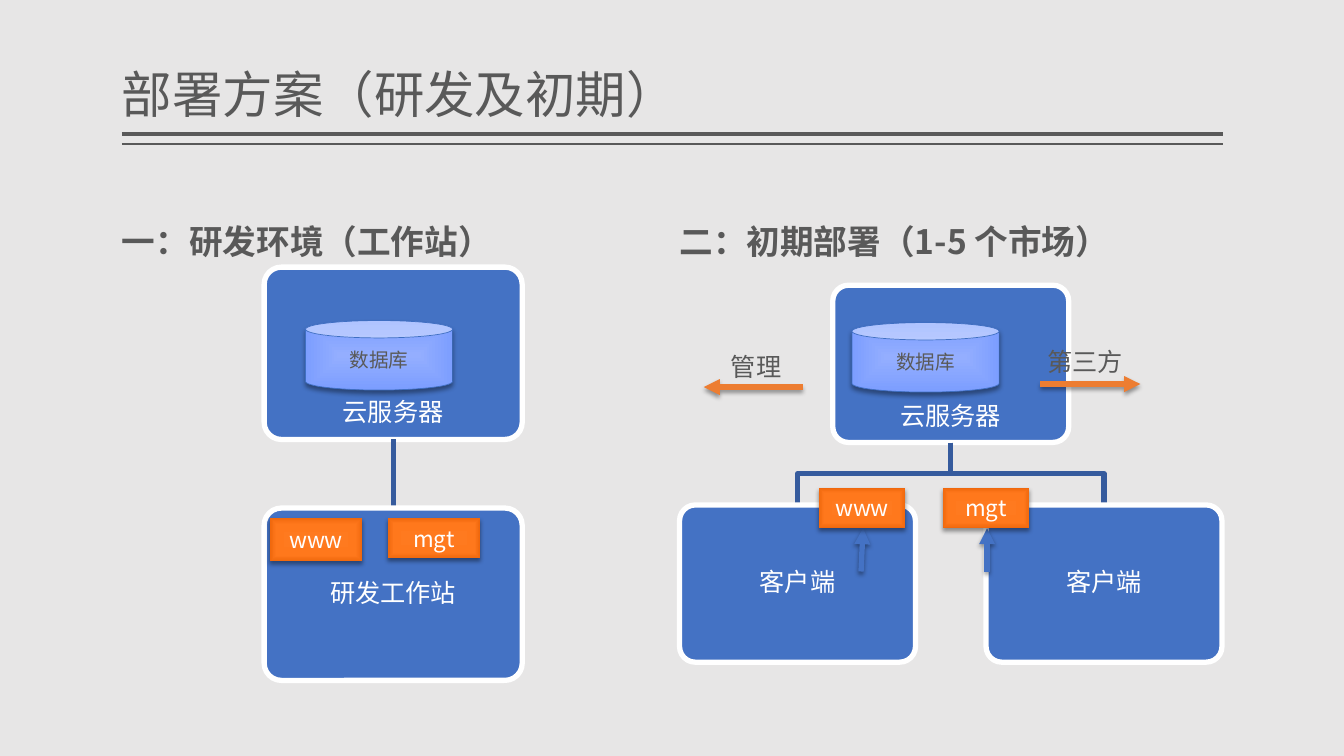
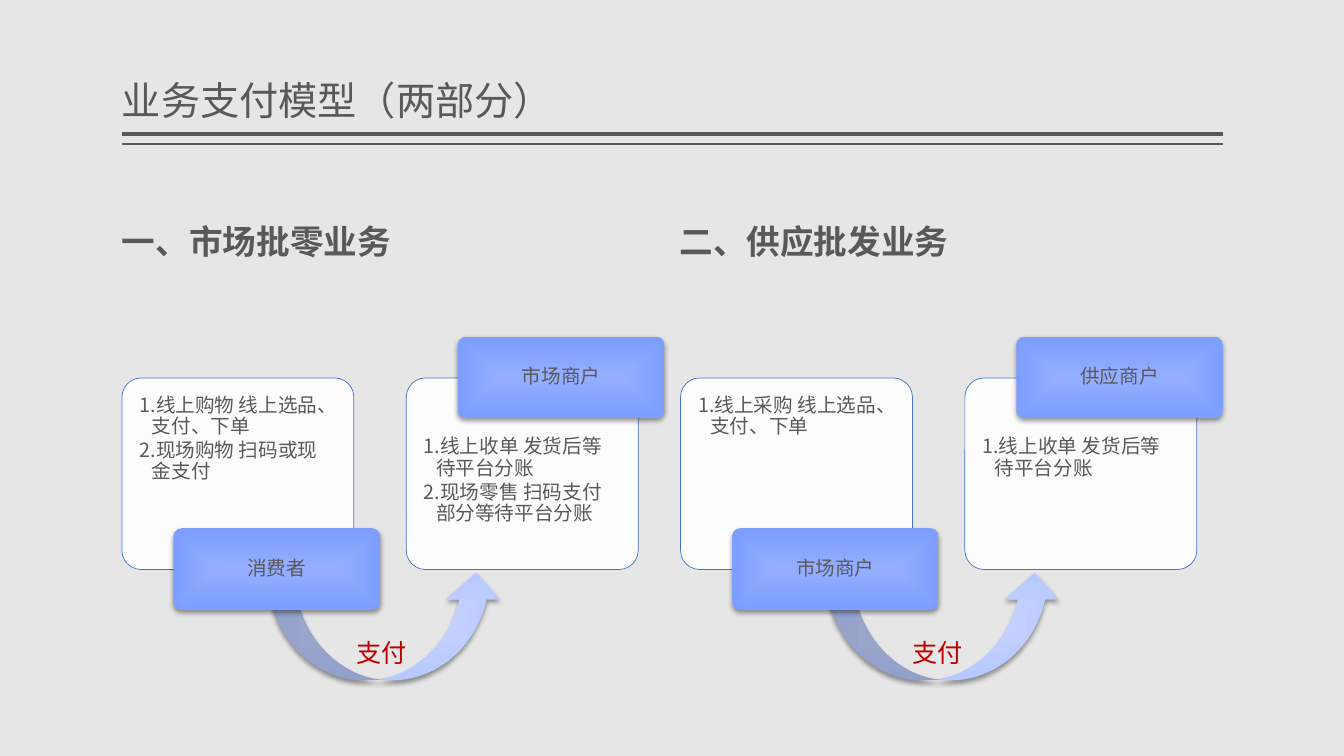
from lxml import etree
from pptx import Presentation
from pptx.dml.color import RGBColor
from pptx.enum.shapes import MSO_CONNECTOR, MSO_SHAPE
from pptx.enum.text import MSO_ANCHOR, PP_ALIGN
from pptx.oxml.ns import qn
from pptx.util import Pt

PX = 9144  # 100 px to the inch
SANS, ARIAL, LATO = "Noto Sans CJK SC", "Arial", "Lato"
ROUNDED, RECTANGLE = MSO_SHAPE.ROUNDED_RECTANGLE, MSO_SHAPE.RECTANGLE
CAN, CURVED_ARROW = MSO_SHAPE.CAN, MSO_SHAPE.CURVED_UP_ARROW
STRAIGHT = MSO_CONNECTOR.STRAIGHT
TOP, MIDDLE, BOTTOM = MSO_ANCHOR.TOP, MSO_ANCHOR.MIDDLE, MSO_ANCHOR.BOTTOM
LEFT, CENTER = PP_ALIGN.LEFT, PP_ALIGN.CENTER

COLORS = {
    "background": "E7E6E6", "text": "595959", "white": "FFFFFF", "blue": "4472C4",
    "link": "365B9D", "outline": "3F6FC3", "orange": "ED7D31", "red": "C00000",
}
GRADIENTS = {
    "periwinkle": [(0, "94AEFF"), (100, "7C9EFF")],
    "pale": [(0, "C4D1FF"), (100, "B8C9FF")],
    "orange": [(0, "FF7A1F"), (71, "FF781C"), (100, "F0680D")],
}
COLUMN_LEFTS = (121, 674)

DEPLOYMENT = {
    "title": ("部署方案（研发及初期）", 36, SANS),
    "headings": ("一：研发环境（工作站）", "二：初期部署（1-5 个市场）"),
    "heading_font": SANS,
    "trees": [
        {"root": ("云服务器", (262, 265, 256, 171)),
         "children": [("研发工作站", (262, 504, 256, 171))]},
        {"root": ("云服务器", (826, 283, 234, 156)),
         "children": [("客户端", (674, 501, 234, 156)), ("客户端", (978, 501, 234, 156))]},
    ],
    "databases": [(303, 318), (845, 320)],
    "flows": [((1032, 381), (1131, 381), "orange"), ((796, 384), (698, 384), "orange"),
              ((854, 567), (856, 524), "blue"), ((979, 567), (979, 524), "blue")],
    "flow_labels": [("管理", (715, 344, 71, 40)), ("第三方", (1029, 339, 96, 40))],
    "services": [("www", (812, 484, 86, 40)), ("mgt", (935, 484, 86, 40)),
                 ("www", (268, 514, 91, 43)), ("mgt", (385, 514, 91, 40))],
}

PAYMENT = {
    "title": ("业务支付模型（两部分）", 28, ARIAL),
    "headings": ("一、市场批零业务", "二、供应批发业务"),
    "heading_font": LATO,
    "models": [
        {"left": 121, "label_left": 344,
         "payer": ("消费者", ["线上购物 线上选品、支付、下单", "现场购物 扫码或现金支付"]),
         "payee": ("市场商户", ["线上收单 发货后等待平台分账",
                            "现场零售 扫码支付部分等待平台分账"])},
        {"left": 675, "label_left": 895,
         "payer": ("市场商户", ["线上采购 线上选品、支付、下单"]),
         "payee": ("供应商户", ["线上收单 发货后等待平台分账"])},
    ],
}


def color(name):
    return RGBColor.from_string(COLORS[name])


def add_child(parent, tag, **attributes):
    return etree.SubElement(parent, qn(tag), {key: str(value) for key, value in attributes.items()})


def add_shadow(effects, blur):
    shadow = add_child(effects, "a:outerShdw", blurRad=Pt(blur), dist=Pt(2), dir=5400000,
                       algn="ctr", rotWithShape=0)
    add_child(add_child(shadow, "a:srgbClr", val="000000"), "a:alpha", val=38000)


def set_line(shape, name, width):
    shape.line.color.rgb = color(name)
    shape.line.width = Pt(width)


def set_gradient(shape, name):
    """Fill the shape with stops running from its centre to its edges."""
    shape.fill.background()
    properties = shape.fill._xPr
    gradient = etree.Element(qn("a:gradFill"), rotWithShape="1")
    stops = add_child(gradient, "a:gsLst")
    for position, value in GRADIENTS[name]:
        add_child(add_child(stops, "a:gs", pos=position * 1000), "a:srgbClr", val=value)
    add_child(add_child(gradient, "a:path", path="rect"), "a:fillToRect",
              l=50000, t=50000, r=50000, b=50000)
    properties.replace(properties.find(qn("a:noFill")), gradient)


def add_shape(slide, kind, box, fill=None, gradient=None, line=None, shadow=0):
    shape = slide.shapes.add_shape(kind, *(value * PX for value in box))
    shape.shadow.inherit = False
    if kind == ROUNDED:
        shape.adjustments[0] = 0.1
    if gradient:
        set_gradient(shape, gradient)
    else:
        shape.fill.solid()
        shape.fill.fore_color.rgb = color(fill)
    if line:
        set_line(shape, *line)
    else:
        shape.line.fill.background()
    if shadow:
        add_shadow(shape._element.spPr.find(qn("a:effectLst")), shadow)
    return shape


def add_line(slide, start, end, name, width, arrow=False):
    points = (value * PX for value in (*start, *end))
    connector = slide.shapes.add_connector(STRAIGHT, *points)
    set_line(connector, name, width)
    effects = add_child(connector._element.spPr, "a:effectLst")
    if arrow:
        add_child(connector.line._get_or_add_ln(), "a:tailEnd", type="triangle")
        add_shadow(effects, 3.1)


def write(shape, texts, size, name="text", font=SANS, bold=False, align=CENTER, anchor=MIDDLE,
          insets=(10, 5, 10, 5), spacing=None, wrap=True, numbered=False):
    frame = shape.text_frame
    frame.word_wrap = wrap
    frame.vertical_anchor = anchor
    (frame.margin_left, frame.margin_top,
     frame.margin_right, frame.margin_bottom) = (value * PX for value in insets)
    for index, text in enumerate(texts):
        paragraph = frame.add_paragraph() if index else frame.paragraphs[0]
        paragraph.alignment = align
        if spacing:
            paragraph.line_spacing = spacing
        if numbered:
            paragraph.space_after = Pt(2)
            properties = paragraph._p.get_or_add_pPr()
            properties.set("marL", str(12 * PX))
            properties.set("indent", str(-12 * PX))
            add_child(properties, "a:buAutoNum", type="arabicPeriod")
        run = paragraph.add_run()
        run.text = text
        run.font.size = Pt(size)
        run.font.bold = bold
        run.font.color.rgb = color(name)
        run.font.name = font
        add_child(run._r.get_or_add_rPr(), "a:ea", typeface=SANS)


def add_text(slide, box, text, size, **style):
    textbox = slide.shapes.add_textbox(*(value * PX for value in box))
    write(textbox, [text], size, **style)


def add_base_slide(presentation, content):
    """Add a slide with the double rule, the title and two column headings."""
    slide = presentation.slides.add_slide(presentation.slide_layouts[6])
    for top, width in ((133, 3), (143, 1)):
        add_line(slide, (121, top), (1213, top), "text", width)
    heading_style = {"align": LEFT, "anchor": BOTTOM, "insets": (0, 5, 0, 5), "spacing": 0.9}
    title, size, font = content["title"]
    add_text(slide, (121, 8, 1092, 120), title, size, font=font, **heading_style)
    for left, heading in zip(COLUMN_LEFTS, content["headings"]):
        add_text(slide, (left, 175, 538, 90), heading, 24, bold=True,
                 font=content["heading_font"], **heading_style)
    return slide


def add_node(slide, text, box, anchor):
    node = add_shape(slide, ROUNDED, box, fill="blue", line=("white", 3.78))
    write(node, [text], 18, "white", anchor=anchor, insets=(7, 7, 7, 7), spacing=0.9)


def add_link(slide, parent, child):
    """Join the bottom of the parent to the top of the child, with a bend if needed."""
    x, y = parent[0] + parent[2] // 2, parent[1] + parent[3]
    end_x, end_y = child[0] + child[2] // 2, child[1]
    if x == end_x:
        add_line(slide, (x, y), (end_x, end_y), "link", 3.78)
        return
    bend = (y + end_y) // 2
    builder = slide.shapes.build_freeform(x, y, scale=PX)
    builder.add_line_segments([(x, bend), (end_x, bend), (end_x, end_y)], close=False)
    link = builder.convert_to_shape()
    link.shadow.inherit = False
    link.fill.background()
    set_line(link, "link", 3.78)


def build_deployment(presentation):
    slide = add_base_slide(presentation, DEPLOYMENT)
    for tree in DEPLOYMENT["trees"]:
        root_text, root_box = tree["root"]
        add_node(slide, root_text, root_box, BOTTOM)
        for text, box in tree["children"]:
            add_link(slide, root_box, box)
            add_node(slide, text, box, MIDDLE)
    for left, top in DEPLOYMENT["databases"]:
        database = add_shape(slide, CAN, (left, top, 146, 69), gradient="periwinkle",
                             line=("outline", 0.5), shadow=3.5)
        write(database, ["数据库"], 14)
    for start, end, name in DEPLOYMENT["flows"]:
        add_line(slide, start, end, name, 3.82, arrow=True)
    for text, box in DEPLOYMENT["flow_labels"]:
        add_text(slide, box, text, 18, align=LEFT, anchor=TOP, wrap=False)
    for text, box in DEPLOYMENT["services"]:
        service = add_shape(slide, RECTANGLE, box, gradient="orange", shadow=3.1)
        write(service, [text], 16, "white")


def add_panel(slide, left, steps, top_inset):
    panel = add_shape(slide, ROUNDED, (left, 375, 230, 190), fill="white", line=("blue", 0.5))
    add_child(panel._element.spPr.find(qn("a:solidFill"))[0], "a:alpha", val=90000)
    write(panel, steps, 14, align=LEFT, anchor=TOP, insets=(12, top_inset, 12, 12),
          spacing=0.9, numbered=True)


def add_role(slide, left, top, text):
    role = add_shape(slide, ROUNDED, (left, top, 205, 81), gradient="periwinkle", shadow=3.5)
    write(role, [text], 14, insets=(3, 2, 3, 2), spacing=0.9)


def build_payment(presentation):
    slide = add_base_slide(presentation, PAYMENT)
    for model in PAYMENT["models"]:
        left = model["left"]
        payer, payer_steps = model["payer"]
        payee, payee_steps = model["payee"]
        add_panel(slide, left, payer_steps, 12)
        add_shape(slide, CURVED_ARROW, (left + 144, 568, 234, 107), gradient="pale", shadow=3.5)
        add_role(slide, left + 51, 524, payer)
        add_panel(slide, left + 282, payee_steps, 53)
        add_role(slide, left + 333, 334, payee)
        add_text(slide, (model["label_left"], 627, 81, 40), "支付", 18, name="red",
                 align=LEFT, anchor=TOP)


def main():
    presentation = Presentation()
    presentation.slide_width, presentation.slide_height = 1333 * PX, 750 * PX
    background = presentation.slide_master.background.fill
    background.solid()
    background.fore_color.rgb = color("background")
    build_deployment(presentation)
    build_payment(presentation)
    presentation.save("out.pptx")


if __name__ == "__main__":
    main()
